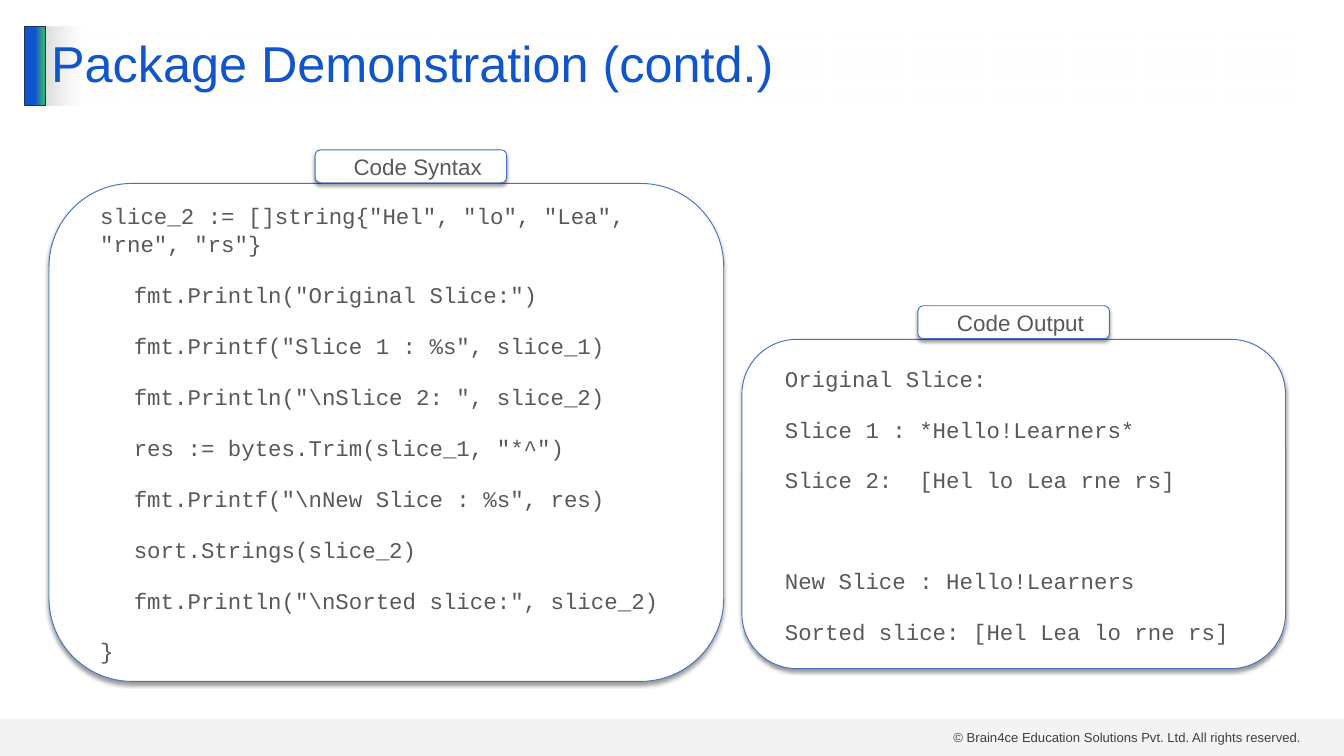
import pptx
import pptx.util
import pptx.dml.color
import pptx.enum.shapes
import pptx.enum.text
import pptx.oxml
import pptx.oxml.ns

PX = 9144  # EMU per px, 100 px to the inch
BLUE, GREY, TEXT = "1155CC", "D9D9D9", "595959"
NS = pptx.oxml.ns.nsdecls("a")
SHAPE = pptx.enum.shapes.MSO_SHAPE
ALIGN = pptx.enum.text.PP_ALIGN
ANCHOR = pptx.enum.text.MSO_ANCHOR

CODE = [  # text, indent
    ('slice_2 := []string{"Hel", "lo", "Lea", "rne", "rs"}', 20),
    ('fmt.Println("Original Slice:")', 70),
    ('fmt.Printf("Slice 1 : %s", slice_1)', 70),
    ('fmt.Println("\\nSlice 2: ", slice_2)', 70),
    ('res := bytes.Trim(slice_1, "*^")', 70),
    ('fmt.Printf("\\nNew Slice : %s", res)', 70),
    ('sort.Strings(slice_2)', 70),
    ('fmt.Println("\\nSorted slice:", slice_2)', 70),
    ('}', 20),
]
OUTPUT = [
    ("Original Slice:", 20),
    ("Slice 1 : *Hello!Learners*", 20),
    ("Slice 2:  [Hel lo Lea rne rs]", 20),
    ("New Slice : Hello!Learners", 20),
    ("Sorted slice: [Hel Lea lo rne rs]", 20),
]


def color(value):
    return pptx.dml.color.RGBColor.from_string(value)


def emu(*lengths):
    return [length * PX for length in lengths]


def add_run(paragraph, text, size, font, ink):
    run = paragraph.add_run()
    run.text = text
    run.font.size = pptx.util.Pt(size)
    run.font.name = font
    run.font.color.rgb = color(ink)


def set_gradient(shape, stops):
    """Fill from left to right; stops are (percent, colour, opacity percent)."""
    shape.fill.gradient()
    shape.fill.gradient_angle = 0
    stop_list = shape.fill._fill._gradFill.find(pptx.oxml.ns.qn("a:gsLst"))
    for old in list(stop_list):
        stop_list.remove(old)
    for place, ink, opacity in stops:
        stop_list.append(pptx.oxml.parse_xml(
            f'<a:gs {NS} pos="{place * 1000}"><a:srgbClr val="{ink}">'
            f'<a:alpha val="{opacity * 1000}"/></a:srgbClr></a:gs>'))


def add_block(slide, kind, box, fill=None, line=None):
    block = slide.shapes.add_shape(kind, *emu(*box))
    block.shadow.inherit = False
    if fill:
        block.fill.solid()
        block.fill.fore_color.rgb = color(fill)
    if line:
        block.line.color.rgb = color(line)
        block.line.width = pptx.util.Pt(1)
    else:
        block.line.fill.background()
    return block


def add_card(slide, box):
    """White rounded box with a blue outline and a soft shadow below."""
    card = add_block(slide, SHAPE.ROUNDED_RECTANGLE, box, "FFFFFF", "4472C4")
    effects = card._element.spPr.find(pptx.oxml.ns.qn("a:effectLst"))
    effects.append(pptx.oxml.parse_xml(
        f'<a:outerShdw {NS} blurRad="50800" dist="38100" dir="5400000" algn="t" rotWithShape="0">'
        '<a:srgbClr val="000000"><a:alpha val="40000"/></a:srgbClr></a:outerShdw>'))
    frame = card.text_frame
    frame.word_wrap = True
    frame.vertical_anchor = ANCHOR.MIDDLE
    frame.margin_left = frame.margin_right = 20 * PX
    frame.margin_top = frame.margin_bottom = 10 * PX
    return frame


def add_line(frame, index, text, indent, font, align):
    paragraph = frame.paragraphs[0] if index == 0 else frame.add_paragraph()
    paragraph._p.get_or_add_pPr().set("marL", str(indent * PX))
    paragraph.alignment = align
    add_run(paragraph, text, 24, font, TEXT)
    return paragraph


def add_panel(slide, box, heading, tab_offset, lines, gap_before=None):
    """Listing with a heading tab on its top edge; gap_before opens a line's gap."""
    left, top, width, height = box
    listing = add_card(slide, box)
    for index, (text, indent) in enumerate(lines):
        paragraph = add_line(listing, index, text, indent, "Courier New", ALIGN.LEFT)
        paragraph.line_spacing = 1.06
        if index:
            paragraph.space_before = pptx.util.Pt(77 if index == gap_before else 24)
    tab = add_card(slide, (left + tab_offset, top - 50, 285, 49))
    add_line(tab, 0, heading, 20, "Arial", ALIGN.CENTER)


def add_header(slide, box):
    left, top, width, height = box
    accent = add_block(slide, SHAPE.RECTANGLE, (left, top, 30, height), line="1E3256")
    set_gradient(accent, [(51, BLUE, 100), (90, "2EA87D", 100), (100, "2EA87D", 100)])

    title = slide.shapes.title
    title.left, title.top, title.width, title.height = emu(left + 29, top, width - 29, height)
    set_gradient(title, [(0, GREY, 100), (3, "FFFFFF", 50)])
    frame = title.text_frame
    frame.word_wrap = True
    frame.auto_size = pptx.enum.text.MSO_AUTO_SIZE.NONE
    frame.vertical_anchor = ANCHOR.MIDDLE
    paragraph = frame.paragraphs[0]
    paragraph.alignment = ALIGN.LEFT
    paragraph.line_spacing = 0.9
    add_run(paragraph, "Package Demonstration (contd.)", 54, "Arial", BLUE)


def add_footer(slide, box):
    left, top, width, height = box
    band = add_block(slide, SHAPE.RECTANGLE, box, GREY)
    band_color = band._element.spPr.find(".//" + pptx.oxml.ns.qn("a:srgbClr"))
    band_color.append(pptx.oxml.parse_xml(f'<a:alpha {NS} val="29000"/>'))
    notice = slide.shapes.add_textbox(*emu(left + width - 591, top + 10, 541, 34))
    notice.text_frame.word_wrap = True
    add_run(notice.text_frame.paragraphs[0],
            "© Brain4ce Education Solutions Pvt. Ltd. All rights reserved.",
            14, "Arial", "404040")


def main():
    deck = pptx.Presentation()
    deck.slide_width, deck.slide_height = emu(2000, 1125)
    slide = deck.slides.add_slide(deck.slide_layouts[5])
    add_footer(slide, (0, 1070, 2000, 55))
    add_header(slide, (37, 39, 1896, 118))
    add_panel(slide, (73, 273, 1004, 741), "Code Syntax", 396, CODE)
    add_panel(slide, (1104, 505, 809, 490), "Code Output", 262, OUTPUT, gap_before=3)
    deck.save("out.pptx")


if __name__ == "__main__":
    main()
